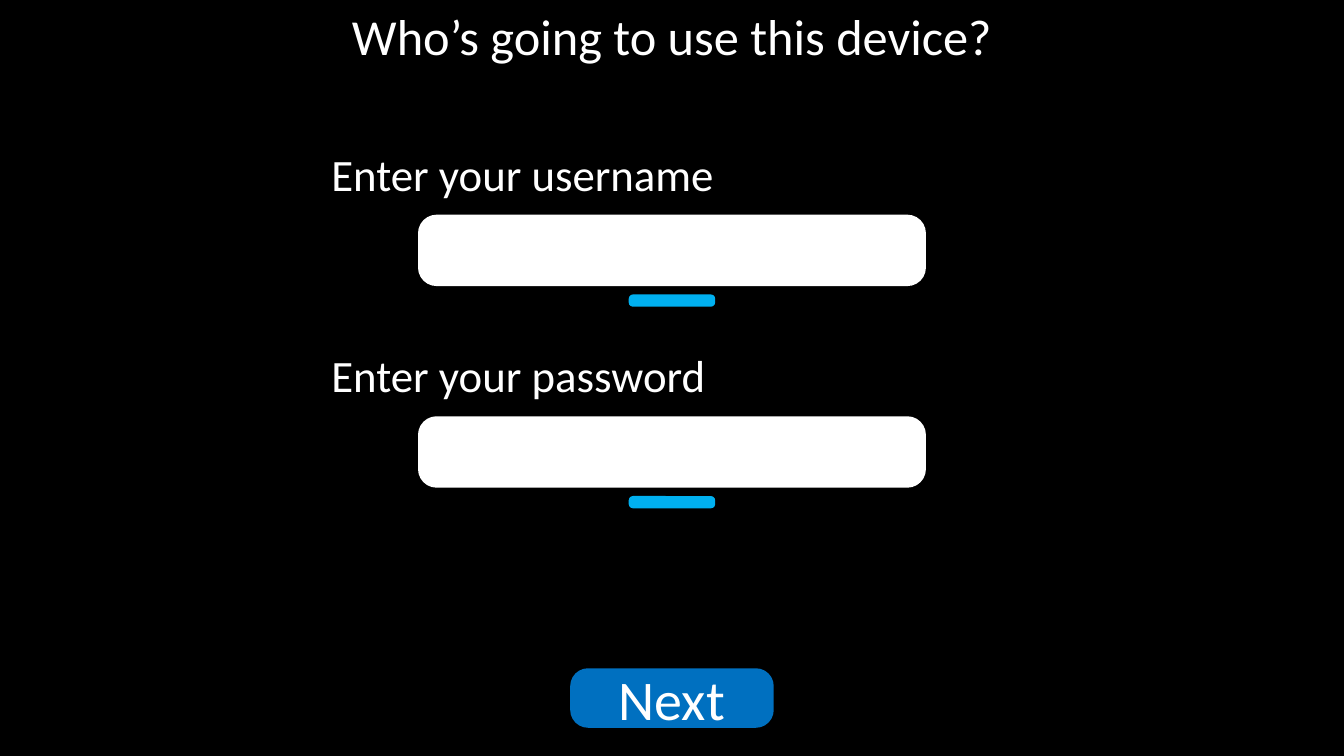
from pptx import Presentation
from pptx.dml.color import RGBColor
from pptx.enum.shapes import MSO_SHAPE as Shape
from pptx.enum.text import MSO_ANCHOR as Anchor, MSO_AUTO_SIZE as AutoSize, PP_ALIGN as Align
from pptx.util import Cm, Pt

TITLE = "Who’s going to use this device?"
PROMPTS = ["Enter your username", "Enter your password"]
BUTTON = "Next"

BLACK, WHITE, SKY, BLUE = "000000", "FFFFFF", "00B0F0", "0070C0"
FONT = "Calibri"

# Lengths in centimetres
PAGE_WIDTH, PAGE_HEIGHT = 33.87, 19.05
TITLE_SIZE = (23.24, 1.8)
PROMPT_LEFT, PROMPT_SIZE = 8.1, (11.66, 1.63)
FIRST_PROMPT_TOP, PROMPT_STEP = 3.56, 5.08
FIELD = dict(size=(12.8, 1.8), color=WHITE, rounding=0.26)
ACCENT = dict(size=(2.18, 0.31), color=SKY, rounding=0.35)
FIELD_DROP, ACCENT_DROP = 1.85, 3.86
NEXT = dict(size=(5.13, 1.5), color=BLUE, rounding=0.3)
NEXT_TOP = 16.84


def rgb(color):
    return RGBColor.from_string(color)


def centred(width):
    """Left edge that centres an item of this width on the page."""
    return (PAGE_WIDTH - width) / 2


def write(box, text, size, align, anchor, auto_size):
    frame = box.text_frame
    settings = dict(word_wrap=True, vertical_anchor=anchor, auto_size=auto_size)
    for name, value in settings.items():
        setattr(frame, name, value)
    para = frame.paragraphs[0]
    para.alignment = align
    span = para.add_run()
    span.text = text
    for name, value in dict(name=FONT, size=Pt(size)).items():
        setattr(span.font, name, value)
    span.font.color.rgb = rgb(WHITE)


def add_pill(page, top, size, color, rounding):
    """Add a page-centred rounded rectangle without outline."""
    width, height = size
    pill = page.shapes.add_shape(Shape.ROUNDED_RECTANGLE, Cm(centred(width)), Cm(top),
                                 Cm(width), Cm(height))
    pill.adjustments[0] = rounding
    pill.shadow.inherit = False
    pill.fill.solid()
    pill.fill.fore_color.rgb = rgb(color)
    pill.line.fill.background()
    return pill


def add_prompt(page, text, top):
    """Add a label with its entry field and accent bar."""
    add_pill(page, top + FIELD_DROP, **FIELD)
    add_pill(page, top + ACCENT_DROP, **ACCENT)
    width, height = PROMPT_SIZE
    label = page.shapes.add_textbox(Cm(PROMPT_LEFT), Cm(top), Cm(width), Cm(height))
    write(label, text, 32, Align.LEFT, Anchor.TOP, AutoSize.SHAPE_TO_FIT_TEXT)


def main():
    deck = Presentation()
    deck.slide_width, deck.slide_height = Cm(PAGE_WIDTH), Cm(PAGE_HEIGHT)
    page = deck.slides.add_slide(deck.slide_layouts.get_by_name("Title Only"))
    page.background.fill.solid()
    page.background.fill.fore_color.rgb = rgb(BLACK)

    title = page.shapes.title
    width, height = TITLE_SIZE
    place = dict(left=centred(width), top=0, width=width, height=height)
    for name, value in place.items():
        setattr(title, name, Cm(value))
    write(title, TITLE, 36, Align.CENTER, Anchor.TOP, AutoSize.SHAPE_TO_FIT_TEXT)

    for index, prompt in enumerate(PROMPTS):
        add_prompt(page, prompt, FIRST_PROMPT_TOP + index * PROMPT_STEP)

    button = add_pill(page, NEXT_TOP, **NEXT)
    write(button, BUTTON, 40, Align.CENTER, Anchor.MIDDLE, AutoSize.NONE)

    deck.save("out.pptx")


if __name__ == "__main__":
    main()
